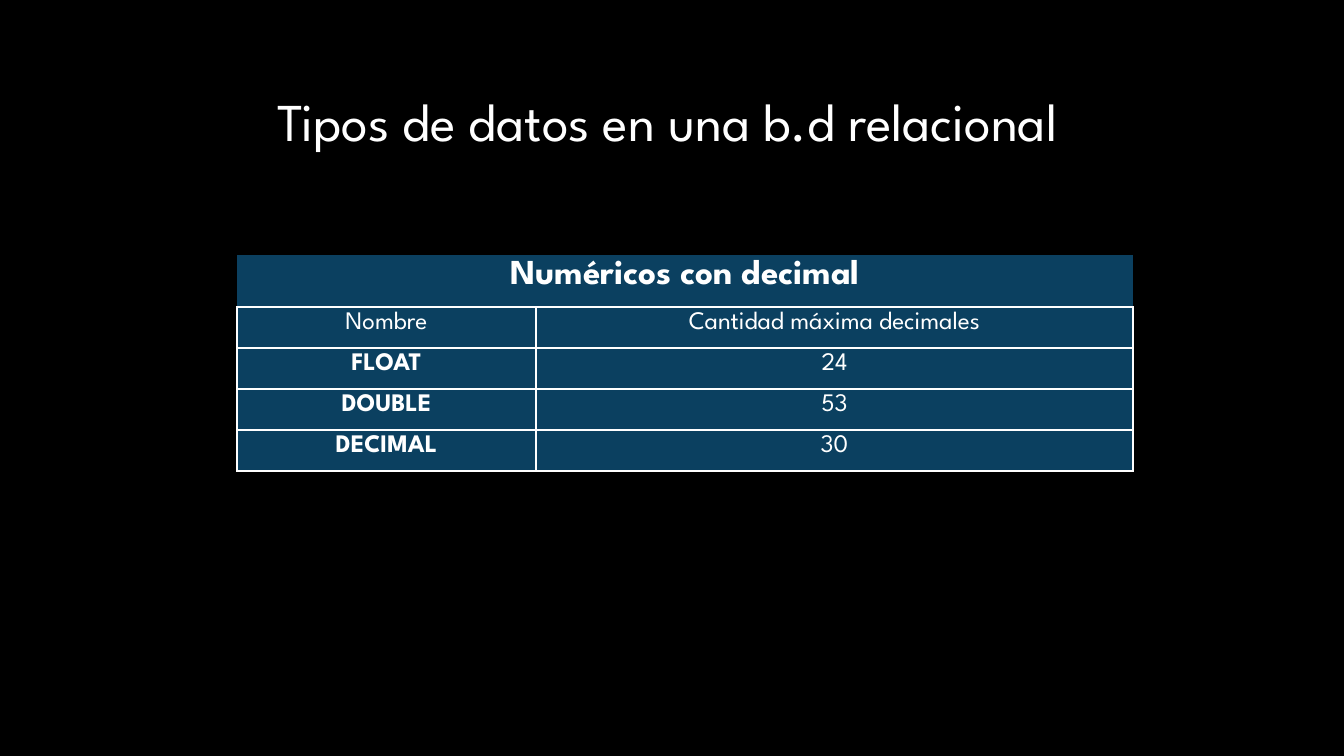
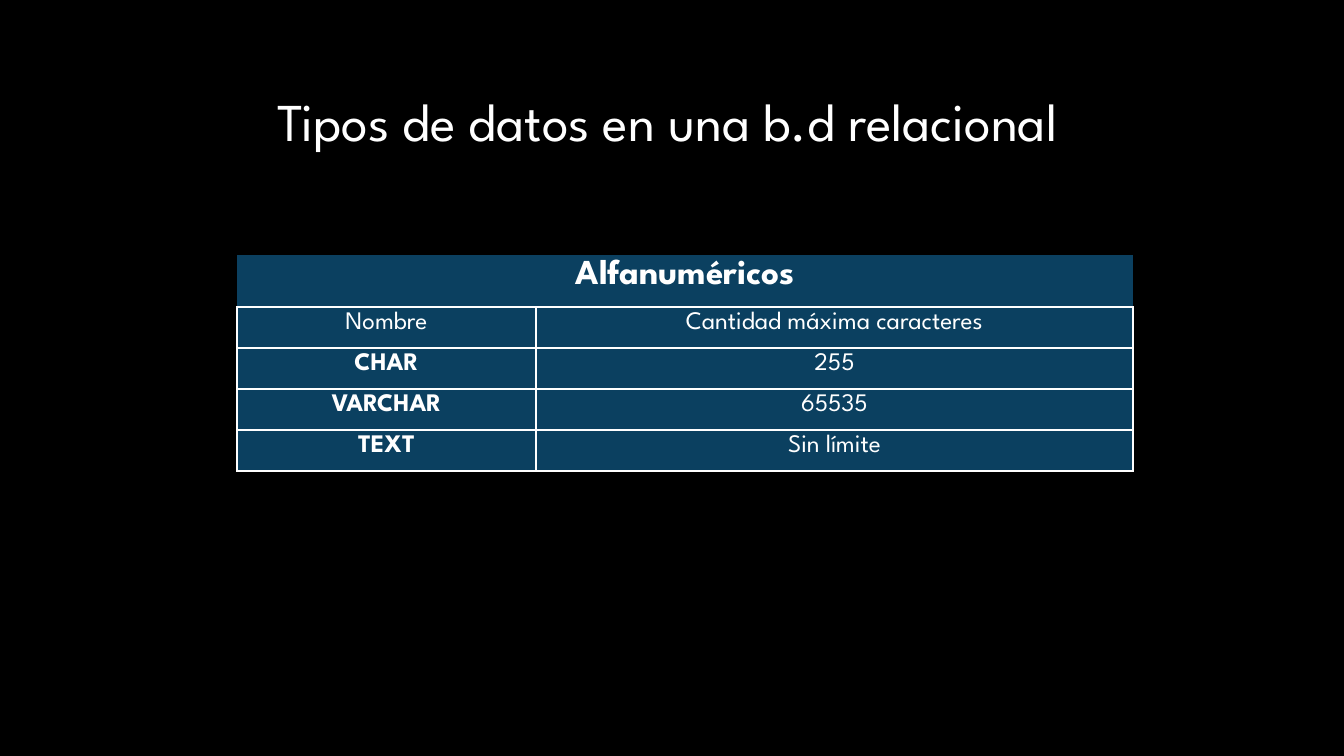
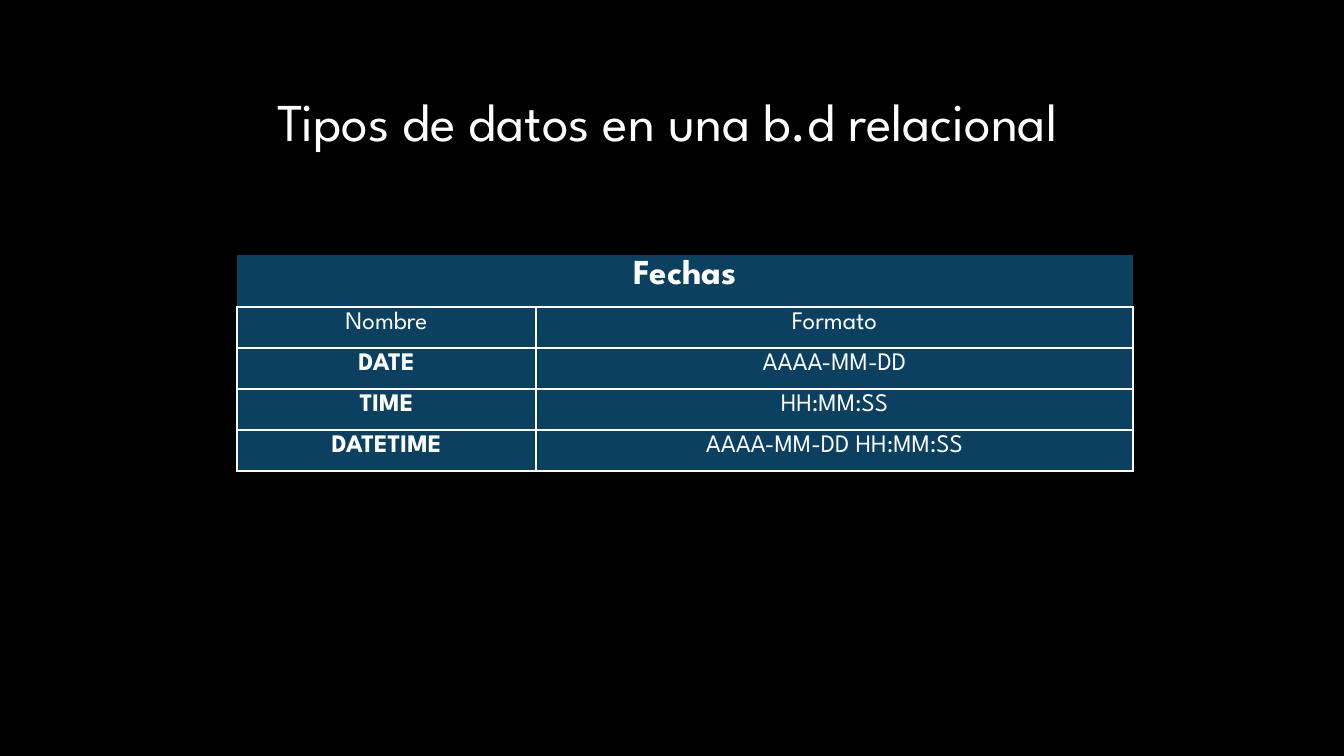
import pptx
import pptx.dml.color
import pptx.enum.text
import pptx.oxml
import pptx.oxml.ns
import pptx.util
from dataclasses import dataclass

EMU_PER_PX = 12192000 / 1344


def px(n):
    return pptx.util.Emu(round(n * EMU_PER_PX))


@dataclass(frozen=True)
class Theme:
    font: str = "League Spartan"
    background: str = "000000"
    text: str = "FFFFFF"
    cell: str = "0B4060"
    border: str = "FFFFFF"
    title_size: int = 38
    heading_size: int = 25
    body_size: int = 18
    border_width: int = 1


class Deck:
    title_box = (71, 82, 1194, 75)
    table_origin = (237, 255)
    columns = (299, 597)
    heading_height = 52
    row_height = 41

    def __init__(self, theme):
        self.theme = theme
        self.prs = pptx.Presentation()
        self.prs.slide_width = px(1344)
        self.prs.slide_height = px(756)
        self.layout = self.prs.slide_layouts[5]
        self.s = None
        fill = self.prs.slide_master.background.fill
        fill.solid()
        fill.fore_color.rgb = self.color(theme.background)
        sp = self.layout.placeholders[0]
        sp.left, sp.top, sp.width, sp.height = map(px, self.title_box)

    def color(self, value):
        return pptx.dml.color.RGBColor.from_string(value)

    def format(self, tf, size, bold=False):
        for p in tf.paragraphs:
            p.alignment = pptx.enum.text.PP_ALIGN.CENTER
            for r in p.runs:
                r.font.name = self.theme.font
                r.font.size = pptx.util.Pt(size)
                r.font.bold = bold
                r.font.color.rgb = self.color(self.theme.text)

    def slide(self):
        self.s = self.prs.slides.add_slide(self.layout)

    def title(self, text):
        tf = self.s.shapes.title.text_frame
        tf.text = text
        tf.word_wrap = True
        tf.auto_size = pptx.enum.text.MSO_AUTO_SIZE.NONE
        tf.vertical_anchor = pptx.enum.text.MSO_ANCHOR.BOTTOM
        self.format(tf, self.theme.title_size)

    def borders(self, cell, visible):
        width = pptx.util.Pt(self.theme.border_width)
        ns = pptx.oxml.ns.nsdecls("a")
        tc_pr = cell._tc.get_or_add_tcPr()
        for i, side in enumerate("LRTB"):
            paint = "<a:noFill/>"
            if side in visible:
                paint = f'<a:solidFill><a:srgbClr val="{self.theme.border}"/></a:solidFill>'
            line = pptx.oxml.parse_xml(f'<a:ln{side} {ns} w="{width}">{paint}</a:ln{side}>')
            tc_pr.insert(i, line)

    def cell(self, cell, text, size, bold, visible):
        cell.text = text
        cell.fill.solid()
        cell.fill.fore_color.rgb = self.color(self.theme.cell)
        self.format(cell.text_frame, size, bold)
        self.borders(cell, visible)

    def table(self, heading, rows):
        heights = [self.heading_height] + [self.row_height] * len(rows)
        left, top = self.table_origin
        size = (sum(self.columns), sum(heights))
        table = self.s.shapes.add_table(
            len(heights), len(self.columns), *map(px, (left, top, *size))
        ).table
        for column, width in zip(table.columns, self.columns):
            column.width = px(width)
        for row, height in zip(table.rows, heights):
            row.height = px(height)
        table.cell(0, 0).merge(table.cell(0, 1))
        self.cell(table.cell(0, 0), heading, self.theme.heading_size, True, "B")
        self.borders(table.cell(0, 1), "B")
        for i, row in enumerate(rows, 1):
            for j, text in enumerate(row):
                bold = i > 1 and j == 0
                self.cell(table.cell(i, j), text, self.theme.body_size, bold, "LRTB")


TITLE = "Tipos de datos en una b.d relacional"
TABLES = {
    "Numéricos con decimal": [
        ("Nombre", "Cantidad máxima decimales"),
        ("FLOAT", "24"),
        ("DOUBLE", "53"),
        ("DECIMAL", "30"),
    ],
    "Alfanuméricos": [
        ("Nombre", "Cantidad máxima caracteres"),
        ("CHAR", "255"),
        ("VARCHAR", "65535"),
        ("TEXT", "Sin límite"),
    ],
    "Fechas": [
        ("Nombre", "Formato"),
        ("DATE", "AAAA-MM-DD"),
        ("TIME", "HH:MM:SS"),
        ("DATETIME", "AAAA-MM-DD HH:MM:SS"),
    ],
}


def main():
    deck = Deck(Theme())
    for heading, rows in TABLES.items():
        deck.slide()
        deck.title(TITLE)
        deck.table(heading, rows)
    deck.prs.save("out.pptx")


if __name__ == "__main__":
    main()
